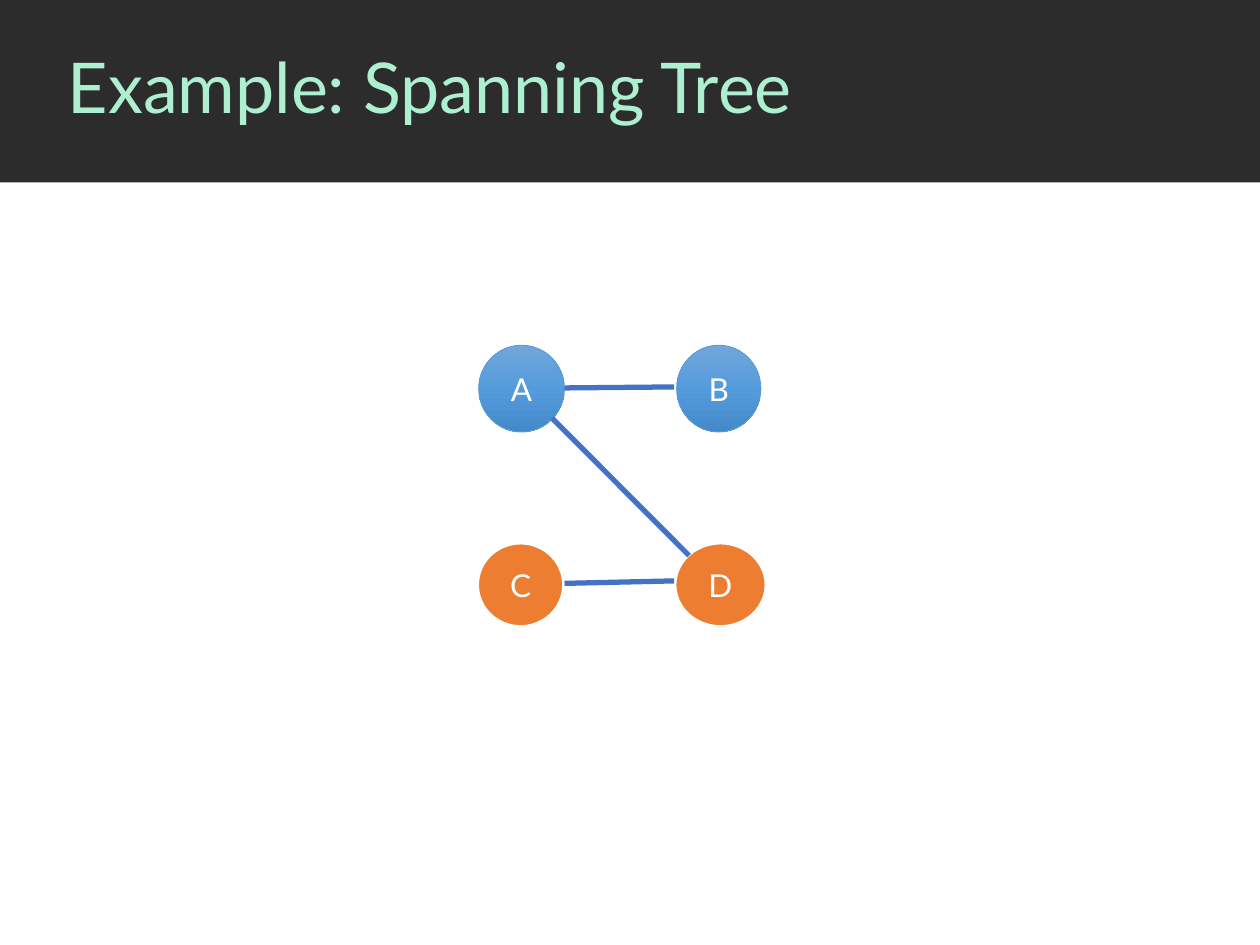
from copy import deepcopy

from lxml import etree
from pptx import Presentation
from pptx.dml.color import RGBColor
from pptx.enum.shapes import MSO_CONNECTOR, MSO_SHAPE
from pptx.enum.text import MSO_ANCHOR, PP_ALIGN
from pptx.oxml.ns import qn
from pptx.util import Cm, Pt

RECT, OVAL = MSO_SHAPE.RECTANGLE, MSO_SHAPE.OVAL
LINE = MSO_CONNECTOR.STRAIGHT
MIDDLE = MSO_ANCHOR.MIDDLE
CENTER = PP_ALIGN.CENTER

FONT = "Lato"
WHITE, DARK, MINT = "FFFFFF", "2C2C2C", "ADF0D1"
ORANGE, RIM, EDGE = "ED7D31", "5B9BD5", "4472C4"
BLUES = ["71A6DB", "559BDB", "448ACA"]

TOP, LOW = 6.96, 10.95
TALL, SHORT = 1.75, 1.68
# label, left, top, width, height, fill colours, line colour, line width
NODES = [
    ("D", 13.61, LOW, 1.83, SHORT, [ORANGE], WHITE, 1.5),
    ("B", 13.64, TOP, 1.70, TALL, BLUES, RIM, 0.5),
    ("C", 9.63, LOW, 1.73, SHORT, [ORANGE], WHITE, 1.5),
    ("A", 9.65, TOP, 1.73, TALL, BLUES, RIM, 0.5),
]
EDGES = [
    (13.59, 7.80, 11.38, 7.82),
    (11.13, 8.43, 13.89, 11.20),
    (13.59, 11.71, 11.38, 11.76),
]


def color(code):
    return RGBColor.from_string(code)


def put_text(shape, text, size, code):
    frame = shape.text_frame
    frame.text = text
    frame.word_wrap = True
    frame.vertical_anchor = MIDDLE
    para = frame.paragraphs[0]
    font = para.runs[0].font
    font.name, font.size = FONT, Pt(size)
    font.color.rgb = color(code)
    return para


def shade(fill, codes):
    """Fill with one colour, or with even stops from top to bottom."""
    if len(codes) == 1:
        fill.solid()
        fill.fore_color.rgb = color(codes[0])
        return
    fill.gradient()
    fill.gradient_angle = 270
    stops = fill._fill._gradFill.gsLst
    while len(stops) < len(codes):
        stops.append(deepcopy(stops[0]))
    for i, (stop, code) in enumerate(zip(fill.gradient_stops, codes)):
        stop.color.rgb = color(code)
        stop.position = i / (len(codes) - 1)


def add_shape(slide, kind, box, codes):
    shape = slide.shapes.add_shape(kind, *map(Cm, box))
    shape.shadow.inherit = False
    shade(shape.fill, codes)
    return shape


def add_head(slide, text):
    band = add_shape(slide, RECT, (0, 0, 25.4, 3.68), [DARK])
    band.line.fill.background()
    title = slide.shapes.add_textbox(Cm(1.12), Cm(0), Cm(24.28), Cm(3.66))
    put_text(title, text, 40, MINT).line_spacing = 0.9


def add_node(slide, label, left, top, width, height, codes, rim, weight):
    node = add_shape(slide, OVAL, (left, top, width, height), codes)
    node.line.color.rgb = color(rim)
    node.line.width = Pt(weight)
    put_text(node, label, 18, WHITE).alignment = CENTER


def add_edge(slide, ends):
    edge = slide.shapes.add_connector(LINE, *map(Cm, ends))
    edge.line.color.rgb = color(EDGE)
    edge.line.width = Pt(3)
    etree.SubElement(edge._element.spPr, qn("a:effectLst"))


def main():
    deck = Presentation()
    deck.slide_width, deck.slide_height = Cm(25.4), Cm(19.05)
    slide = deck.slides.add_slide(deck.slide_layouts[6])
    add_head(slide, "Example: Spanning Tree")
    for node in NODES:
        add_node(slide, *node)
    for ends in EDGES:
        add_edge(slide, ends)
    deck.save("out.pptx")


if __name__ == "__main__":
    main()
